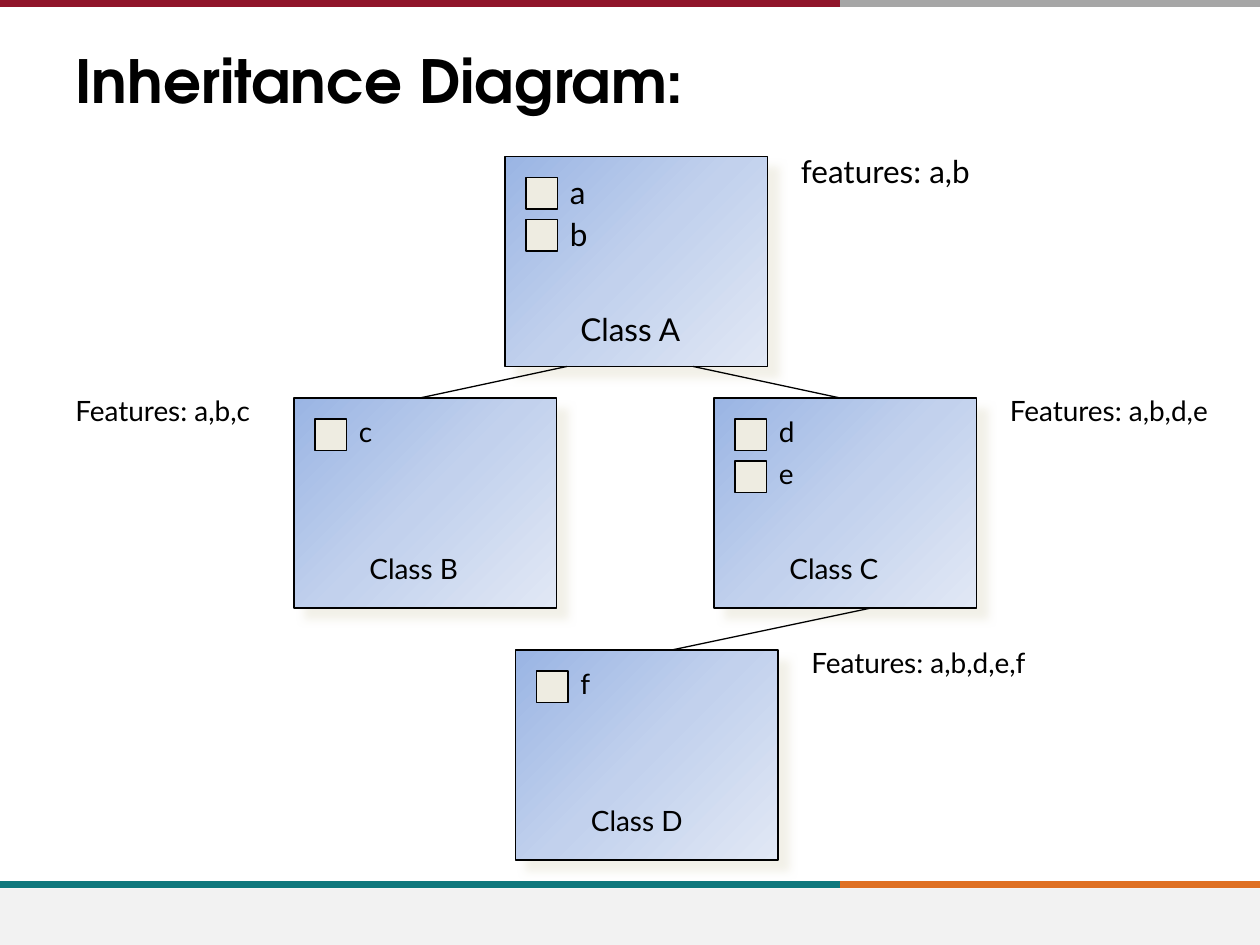
import pptx
import pptx.util
import pptx.oxml
import pptx.oxml.ns
import pptx.dml.color
import pptx.enum.shapes
import pptx.enum.text

hues = {"ink": "000000", "cream": "EEECE1", "foot": "F2F2F2",
        "red": "90152A", "gray": "A6A6A6", "teal": "0F787D", "orange": "DF7023",
        "deep": "9AB5E4", "mid": "C2D1ED", "pale": "E1E8F5"}
rgb = {name: pptx.dml.color.RGBColor.from_string(code) for name, code in hues.items()}
rect = pptx.enum.shapes.MSO_SHAPE.RECTANGLE
space = pptx.oxml.ns.nsdecls("a")

deck = pptx.Presentation()
deck.slide_width = pptx.util.Inches(10)
deck.slide_height = pptx.util.Inches(7.5)
cell = deck.slide_width / 120
slide = deck.slides.add_slide(deck.slide_layouts[6])
shapes = slide.shapes


def write(text, col, row, wide, tall, size, font="Lato", bold=False, wrap=False):
    area = [round(n * cell) for n in (col, row, wide, tall)]
    frame = shapes.add_textbox(*area).text_frame
    frame.word_wrap = wrap
    if not wrap:
        frame.auto_size = pptx.enum.text.MSO_AUTO_SIZE.SHAPE_TO_FIT_TEXT
    line = frame.paragraphs[0]
    line.text = text
    line.font.size = pptx.util.Pt(size)
    line.font.name = font
    line.font.bold = bold
    line.font.color.rgb = rgb["ink"]


def link(start, end, hue="ink", weight=0.75):
    ends = [round(n * cell) for n in (*start, *end)]
    line = shapes.add_connector(pptx.enum.shapes.MSO_CONNECTOR.STRAIGHT, *ends)
    line.line.color.rgb = rgb[hue]
    line.line.width = pptx.util.Pt(weight)
    line._element.spPr.append(pptx.oxml.parse_xml(f"<a:effectLst {space}/>"))


for row, left, right in ((84.24, "teal", "orange"), (0.33, "red", "gray")):
    link((80, row), (120, row), right, 4)
    link((0, row), (80, row), left, 4)
foot = shapes.add_shape(rect, 0, round(84.6 * cell), deck.slide_width, round(5.4 * cell))
foot.shadow.inherit = False
foot.fill.solid()
foot.fill.fore_color.rgb = rgb["foot"]
foot.line.fill.background()

write("Inheritance Diagram:", 6, 3.6, 108, 15, 34, "TeX Gyre Adventor", True, True)

stops = "".join(f'<a:gs pos="{share * 1000}"><a:srgbClr val="{hues[hue]}"/></a:gs>'
                for share, hue in ((0, "deep"), (50, "mid"), (100, "pale")))
blend = (f'<a:gradFill {space} rotWithShape="1"><a:gsLst>{stops}</a:gsLst>'
         '<a:lin ang="2700000" scaled="0"/></a:gradFill>')
shade = (f'<a:outerShdw {space} blurRad="63500" dist="107950" dir="2700000" algn="tl" '
         f'rotWithShape="0"><a:srgbClr val="{hues["cream"]}">'
         '<a:alpha val="75000"/></a:srgbClr></a:outerShdw>')

nodes = (
    ("Class A", 12, 48.1, 14.9, 18, (("a", 4), ("b", 4.1)), "features: a,b", 27, 19.4),
    ("Class B", 10.9, 28, 37.9, 16, (("c", 3.7),), "Features: a,b,c", -22, 20),
    ("Class C", 10.9, 68, 37.9, 16, (("d", 4), ("e", 3.8)), "Features: a,b,d,e", 27, 22.6),
    ("Class D", 11.1, 49.1, 61.9, 16, (("f", 3.2),), "Features: a,b,d,e,f", 27, 24.2),
)
for name, wide, col, row, size, marks, note, shift, span in nodes:
    tall = 4.8 if size == 18 else 4.4
    box = shapes.add_shape(rect, *[round(n * cell) for n in (col, row, 25, 20)])
    box.line.color.rgb = rgb["ink"]
    box.line.width = pptx.util.Pt(0.75)
    box.shadow.inherit = False
    props = box._element.spPr
    props.insert(2, pptx.oxml.parse_xml(blend))
    props.find(pptx.oxml.ns.qn("a:effectLst")).append(pptx.oxml.parse_xml(shade))
    for step, (mark, room) in enumerate(marks):
        top = row + 4 * step
        tick = shapes.add_shape(rect, *[round(n * cell) for n in (col + 2, top + 2, 3, 3)])
        tick.shadow.inherit = False
        tick.fill.solid()
        tick.fill.fore_color.rgb = rgb["cream"]
        tick.line.color.rgb = rgb["ink"]
        tick.line.width = pptx.util.Pt(0.75)
        write(mark, col + 5, top + 1, room, tall, size)
    write(name, col + 6, row + 14, wide, tall, size)
    write(note, col + shift, row - 1, span, tall, size)

link((54, 34.9), (40, 37.9))
link((66, 34.9), (80, 37.9))
link((83, 57.9), (64, 61.9))

deck.save("out.pptx")
